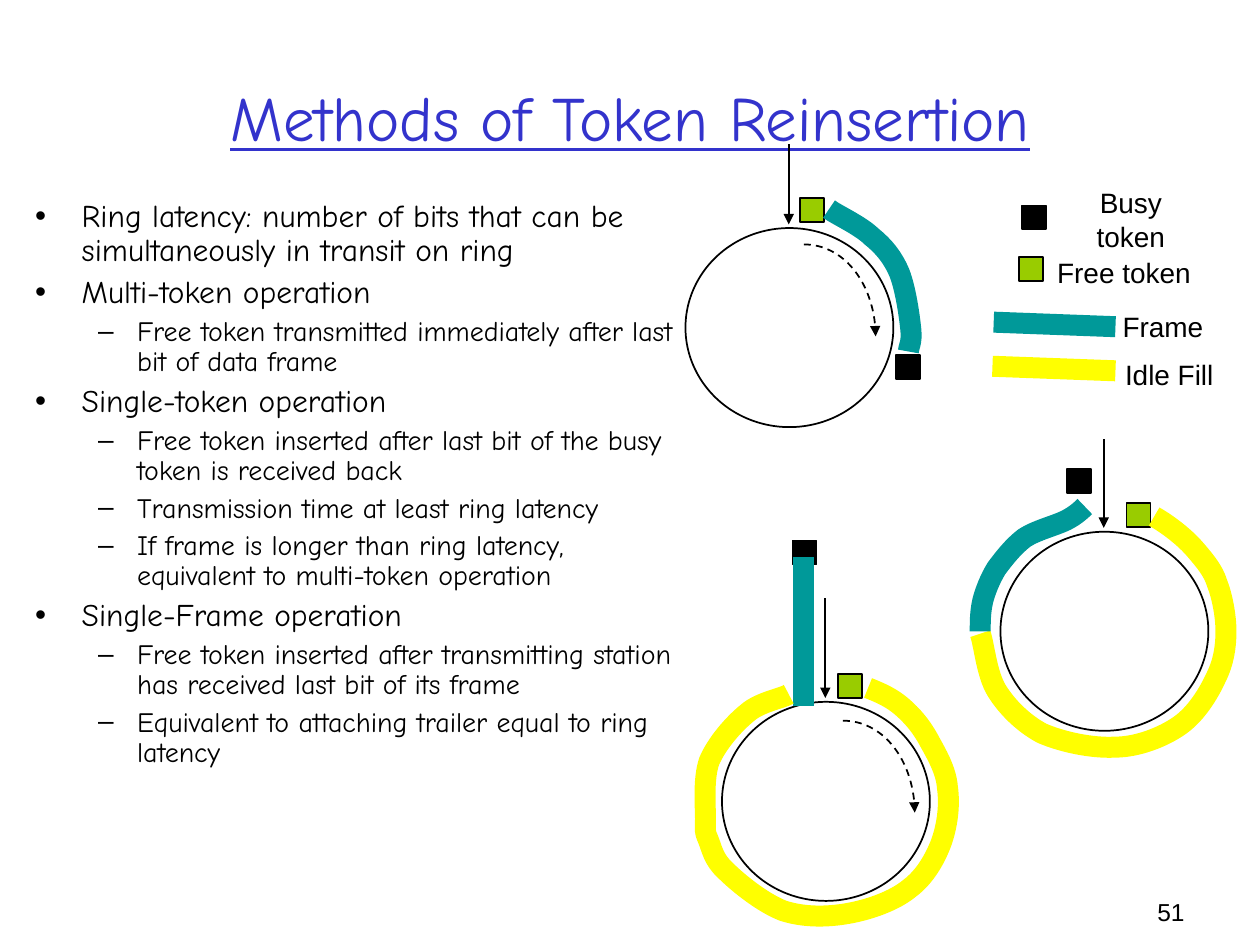
from dataclasses import dataclass

from lxml.etree import SubElement
from pptx import Presentation
from pptx.dml.color import RGBColor
from pptx.enum.dml import MSO_LINE
from pptx.enum.shapes import MSO_CONNECTOR, MSO_SHAPE
from pptx.enum.text import MSO_ANCHOR, MSO_AUTO_SIZE, PP_ALIGN
from pptx.oxml.ns import qn
from pptx.util import Inches, Pt

BLACK = RGBColor(0x00, 0x00, 0x00)
BLUE = RGBColor(0x33, 0x33, 0xCC)
GREEN = RGBColor(0x99, 0xCC, 0x00)
TEAL = RGBColor(0x00, 0x99, 0x99)
YELLOW = RGBColor(0xFF, 0xFF, 0x00)

BAND_WIDTH = 12
TOKEN_SIZE = 0.19
RING_WIDTH, RING_HEIGHT = 1.65, 1.58

Point = tuple[float, float]


@dataclass
class Band:
    """A thick stroke: a start point, then two controls and an end per curve."""
    color: RGBColor
    points: list[Point]


@dataclass
class Ring:
    left: float
    top: float
    arrow_top: float
    busy: Point
    free: Point
    bands: list[Band]
    rotation_start: Point | None = None


@dataclass
class Level:
    size: int
    bullet: str
    indent: float
    hanging: float
    space_before: float


LEVELS = [Level(18, "•", 0.37, 0.37, 4.5), Level(16, "–", 0.81, 0.31, 4)]

OUTLINE = [
    (0, "Ring latency: number of bits that can be simultaneously in transit on ring"),
    (0, "Multi-token operation"),
    (1, "Free token transmitted immediately after last bit of data frame"),
    (0, "Single-token operation"),
    (1, "Free token inserted after last bit of the busy token is received back"),
    (1, "Transmission time at least ring latency"),
    (1, "If frame is longer than ring latency, equivalent to multi-token operation"),
    (0, "Single-Frame operation"),
    (1, "Free token inserted after transmitting station has received last bit of its frame"),
    (1, "Equivalent to attaching trailer equal to ring latency"),
]

MULTI_TOKEN = Ring(5.44, 1.81, 1.15, (7.11, 2.82), (6.35, 1.57), [
    Band(TEAL, [(6.58, 1.66), (6.63, 1.7), (6.83, 1.79), (6.92, 1.88),
                (7.02, 1.96), (7.09, 2.05), (7.14, 2.17), (7.19, 2.3),
                (7.22, 2.52), (7.23, 2.62), (7.24, 2.72), (7.21, 2.76), (7.21, 2.79)]),
], (6.38, 1.94))

SINGLE_TOKEN = Ring(7.94, 4.22, 3.49, (8.47, 3.72), (8.94, 3.99), [
    Band(YELLOW, [(9.16, 4.1), (9.23, 4.14), (9.3, 4.19), (9.36, 4.24),
                  (9.42, 4.29), (9.46, 4.33), (9.51, 4.39), (9.56, 4.45),
                  (9.63, 4.53), (9.66, 4.63), (9.7, 4.73), (9.73, 4.89), (9.73, 5.01),
                  (9.73, 5.14), (9.71, 5.26), (9.65, 5.38), (9.59, 5.51),
                  (9.49, 5.67), (9.36, 5.76), (9.23, 5.85), (9.03, 5.93), (8.85, 5.93),
                  (8.67, 5.94), (8.43, 5.89), (8.27, 5.82), (8.12, 5.74),
                  (7.99, 5.61), (7.91, 5.48), (7.83, 5.35), (7.81, 5.11), (7.78, 5.03)]),
    Band(TEAL, [(7.78, 5.01), (7.78, 4.93), (7.78, 4.86), (7.8, 4.77),
                (7.82, 4.69), (7.86, 4.59), (7.91, 4.51), (7.97, 4.43),
                (8.04, 4.34), (8.13, 4.27), (8.22, 4.21), (8.38, 4.17), (8.46, 4.13),
                (8.54, 4.09), (8.59, 4.04), (8.61, 4.02)]),
])

SINGLE_FRAME = Ring(5.73, 5.57, 4.75, (6.29, 4.29), (6.65, 5.35), [
    Band(TEAL, [(6.38, 4.5), (6.38, 5.52)]),
    Band(YELLOW, [(6.89, 5.46), (6.99, 5.5), (7.08, 5.54), (7.16, 5.61),
                  (7.24, 5.68), (7.31, 5.76), (7.37, 5.87), (7.43, 5.98),
                  (7.51, 6.11), (7.52, 6.25), (7.54, 6.39), (7.52, 6.55), (7.47, 6.69),
                  (7.42, 6.82), (7.34, 6.96), (7.22, 7.05), (7.1, 7.15),
                  (6.9, 7.22), (6.73, 7.25), (6.56, 7.28), (6.38, 7.28), (6.22, 7.23),
                  (6.06, 7.17), (5.86, 7.01), (5.76, 6.91), (5.66, 6.82),
                  (5.65, 6.73), (5.62, 6.66), (5.59, 6.59), (5.6, 6.6), (5.6, 6.5),
                  (5.6, 6.4), (5.58, 6.18), (5.63, 6.04), (5.69, 5.9),
                  (5.82, 5.75), (5.93, 5.66), (6.03, 5.57), (6.22, 5.54), (6.26, 5.51)]),
], (6.69, 5.72))


def set_format(target, values: dict) -> None:
    for name, value in values.items():
        setattr(target, name, value)


def write(para, text: str, size: int, font: str, color: RGBColor = BLACK, **extra) -> None:
    span = para.add_run()
    span.text = text
    set_format(span.font, {"size": Pt(size), "name": font, **extra})
    span.font.color.rgb = color


def style_line(line, color: RGBColor, width: float, arrow: bool = False) -> None:
    line.color.rgb = color
    line.width = Pt(width)
    if arrow:
        SubElement(line._get_or_add_ln(), qn("a:tailEnd"), type="triangle")


def add_box(page, left: float, top: float, width: float, height: float, wrap: bool = True):
    box = page.shapes.add_textbox(*map(Inches, (left, top, width, height)))
    box.text_frame.word_wrap = wrap
    return box


def add_line(page, start: Point, end: Point, color: RGBColor, width: float,
             arrow: bool = False) -> None:
    line = page.shapes.add_connector(MSO_CONNECTOR.STRAIGHT, *map(Inches, (*start, *end)))
    style_line(line.line, color, width, arrow)
    line.line._get_or_add_ln().set("cap", "sq")
    SubElement(line._element.spPr, qn("a:effectLst"))


def add_curve(page, points: list[Point], color: RGBColor, width: float,
              rotation: bool = False) -> None:
    """Draw a chain of cubic curves; a rotation curve is dashed with an arrowhead."""
    start, *others = [tuple(map(Inches, point)) for point in points]
    builder = page.shapes.build_freeform(*start)
    builder.add_line_segments(others, close=False)
    curve = builder.convert_to_shape()
    # Each run of three line segments becomes one cubic curve
    outline = next(curve._element.iter(qn("a:path"), qn("a:path")))
    segments = outline.findall(qn("a:lnTo"))
    for index in range(0, len(segments), 3):
        cubic = SubElement(outline, qn("a:cubicBezTo"))
        for segment in segments[index:index + 3]:
            cubic.append(segment[0])
            outline.remove(segment)
    curve.shadow.inherit = False
    curve.fill.background()
    if rotation:
        curve.line.dash_style = MSO_LINE.DASH
    style_line(curve.line, color, width, rotation)


def add_preset(page, kind, corner: Point, width: float, height: float,
               color: RGBColor | None = None) -> None:
    shape = page.shapes.add_shape(kind, *map(Inches, (*corner, width, height)))
    shape.shadow.inherit = False
    if color is None:
        shape.fill.background()
    else:
        shape.fill.solid()
        shape.fill.fore_color.rgb = color
    style_line(shape.line, BLACK, 1)


def add_token(page, corner: Point, color: RGBColor) -> None:
    add_preset(page, MSO_SHAPE.RECTANGLE, corner, TOKEN_SIZE, TOKEN_SIZE, color)


def add_ring(page, ring: Ring) -> None:
    add_preset(page, MSO_SHAPE.OVAL, (ring.left, ring.top), RING_WIDTH, RING_HEIGHT)
    middle = ring.left + 0.82
    add_line(page, (middle, ring.arrow_top), (middle, ring.top - 0.03), BLACK, 1, True)
    add_token(page, ring.busy, BLACK)
    add_token(page, ring.free, GREEN)
    if ring.rotation_start:
        x, y = ring.rotation_start
        quarter = [(x, y), (x + 0.31, y), (x + 0.57, y + 0.33), (x + 0.57, y + 0.73)]
        add_curve(page, quarter, BLACK, 1, True)
    for band in ring.bands:
        if len(band.points) == 2:
            add_line(page, *band.points, band.color, BAND_WIDTH)
        else:
            add_curve(page, band.points, band.color, BAND_WIDTH)


def add_outline(page) -> None:
    frame = add_box(page, 0.18, 1.54, 5.38, 5.43).text_frame
    for index, (depth, text) in enumerate(OUTLINE):
        para = frame.add_paragraph() if index else frame.paragraphs[0]
        level = LEVELS[depth]
        set_format(para, {"level": depth, "line_spacing": 0.9,
                          "space_before": Pt(level.space_before)})
        properties = para._p.get_or_add_pPr()
        properties.set("marL", str(Inches(level.indent)))
        properties.set("indent", str(-Inches(level.hanging)))
        SubElement(properties, qn("a:buFont"), typeface="Arial")
        SubElement(properties, qn("a:buChar"), char=level.bullet)
        write(para, text, level.size, "Comic Neue")


def add_legend(page) -> None:
    add_token(page, (8.09, 2.04), GREEN)
    add_token(page, (8.11, 1.63), BLACK)
    add_line(page, (7.97, 2.56), (8.77, 2.59), TEAL, BAND_WIDTH)
    add_line(page, (7.96, 2.91), (8.77, 2.94), YELLOW, BAND_WIDTH)
    for text, left, top, width in [("Busy token", 8.33, 1.56, 1.29),
                                   ("Free token", 8.29, 1.98, 1.26),
                                   ("Frame", 8.81, 2.41, 0.84),
                                   ("Idle Fill", 8.83, 2.79, 0.9)]:
        frame = add_box(page, left, top, width, 0.36, wrap=False).text_frame
        set_format(frame, {"vertical_anchor": MSO_ANCHOR.MIDDLE,
                           "auto_size": MSO_AUTO_SIZE.SHAPE_TO_FIT_TEXT})
        frame.paragraphs[0].alignment = PP_ALIGN.CENTER
        write(frame.paragraphs[0], text, 16, "Arial")


def main() -> None:
    deck = Presentation()
    set_format(deck, {"slide_width": Inches(10), "slide_height": Inches(7.5)})
    page = deck.slides.add_slide(deck.slide_layouts[5])
    # Title
    title = page.shapes.title
    set_format(title, {"left": Inches(0.5), "top": Inches(0.3),
                       "width": Inches(9), "height": Inches(1.25)})
    title.text_frame.vertical_anchor = MSO_ANCHOR.MIDDLE
    heading = title.text_frame.paragraphs[0]
    heading.alignment = PP_ALIGN.CENTER
    write(heading, "Methods of Token Reinsertion", 36, "Comic Neue", BLUE, underline=True)
    # Text, legend and ring diagrams
    add_outline(page)
    add_legend(page)
    for ring in (MULTI_TOKEN, SINGLE_TOKEN, SINGLE_FRAME):
        add_ring(page, ring)
    # Page number
    number = add_box(page, 7.17, 7.07, 2.33, 0.28).text_frame.paragraphs[0]
    number.alignment = PP_ALIGN.RIGHT
    write(number, "51", 14, "Arial")
    deck.save("out.pptx")


if __name__ == "__main__":
    main()
